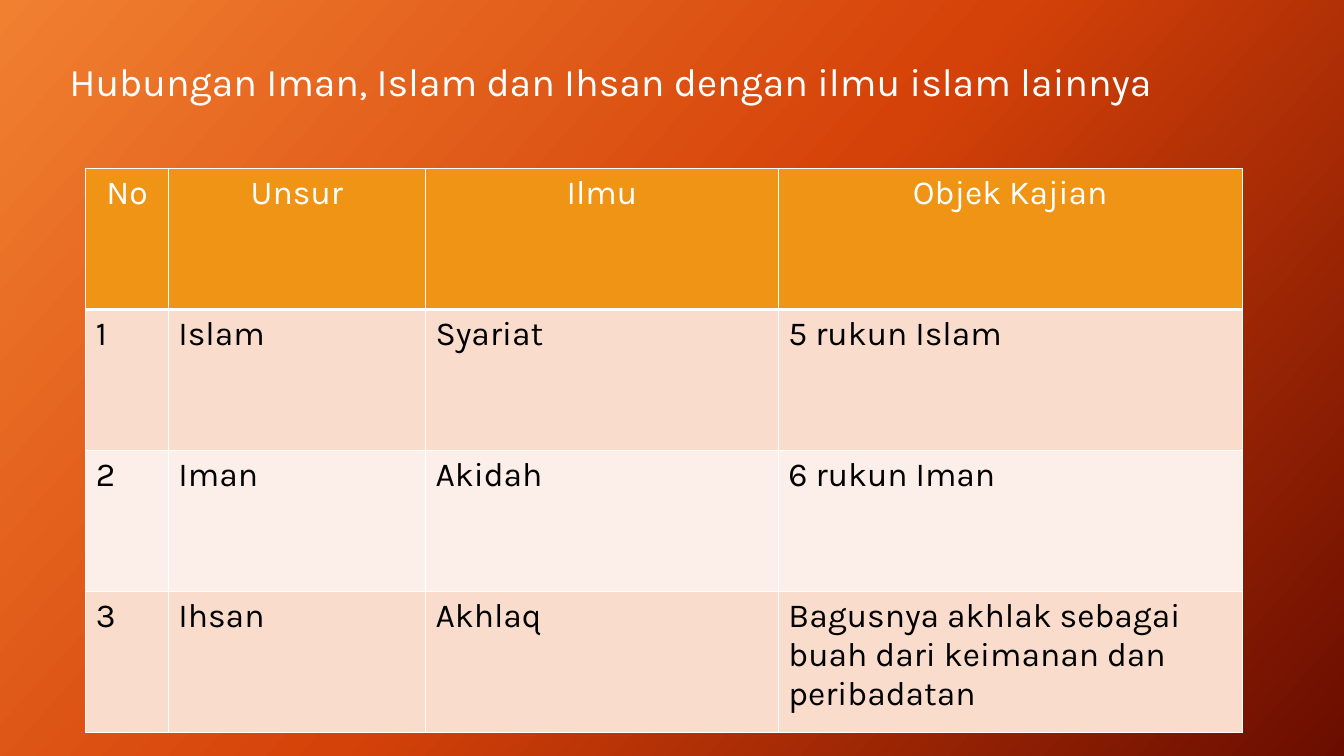
from copy import deepcopy
from dataclasses import dataclass

from lxml.etree import SubElement
from pptx import Presentation
from pptx.dml.color import RGBColor as Rgb
from pptx.enum.text import MSO_ANCHOR as Anchor, PP_ALIGN as Align
from pptx.oxml.ns import qn
from pptx.util import Inches, Pt


@dataclass(frozen=True)
class Theme:
    """Colours, font and type sizes of the slide."""
    font: str = "Karla"
    title_size: int = 28
    table_size: int = 24
    light: str = "FFFFFF"
    dark: str = "000000"
    header: str = "F09415"
    bands: tuple = ("F9DCCC", "FCEEE8")
    backdrop: tuple = ((0, "F18031"), (0.5, "D54209"), (1, "6A0D00"))
    backdrop_angle: int = 42
    rule: int = 1
    header_rule: int = 3


def apply(target, formats):
    """Set every attribute in formats on target."""
    for name, value in formats.items():
        setattr(target, name, value)


class SlideBuilder:
    """Draws themed elements on the current slide."""

    def __init__(self, slide, theme):
        """Keep the slide and its theme."""
        self.slide, self.theme = slide, theme

    def background(self):
        """Fill the slide with the theme gradient."""
        fill = self.slide.background.fill
        fill.gradient()
        fill.gradient_angle = 360 - self.theme.backdrop_angle
        stop_list = next(self.slide.element.iter(qn("a:gsLst")))
        stop_list.insert(1, deepcopy(stop_list[0]))
        for stop, (position, color) in zip(fill.gradient_stops, self.theme.backdrop):
            stop.position = position
            stop.color.rgb = Rgb.from_string(color)

    def add_text(self, frame, text, size, color, **paragraph_formats):
        """Put one styled paragraph into a text frame."""
        paragraph = frame.paragraphs[0]
        apply(paragraph, paragraph_formats)
        run = paragraph.add_run()
        run.text = text
        apply(run.font, {"name": self.theme.font, "size": Pt(size)})
        run.font.color.rgb = Rgb.from_string(color)

    def title(self, text, left, top, width, height):
        """Add the heading, vertically centred in its box."""
        box = self.slide.shapes.add_textbox(*map(Inches, (left, top, width, height)))
        apply(box.text_frame, {"word_wrap": True, "vertical_anchor": Anchor.MIDDLE})
        self.add_text(box.text_frame, text, self.theme.title_size, self.theme.light,
                      line_spacing=0.9)

    def border(self, cell, side, width):
        """Draw one side (L, R, T or B) of a cell, before its fill is set."""
        line = SubElement(cell._tc.get_or_add_tcPr(), qn(f"a:ln{side}"), w=str(Pt(width)))
        solid = SubElement(line, qn("a:solidFill"))
        SubElement(solid, qn("a:srgbClr"), val=self.theme.light)

    def cell(self, cell, text, row):
        """Style and fill one cell according to its row."""
        theme = self.theme
        is_header = row == 0
        thick_side = {0: "B", 1: "T"}.get(row)
        for side in "LRTB":
            self.border(cell, side, theme.header_rule if side == thick_side else theme.rule)
        band = theme.header if is_header else theme.bands[(row - 1) % 2]
        cell.fill.solid()
        cell.fill.fore_color.rgb = Rgb.from_string(band)
        self.add_text(cell.text_frame, text, theme.table_size,
                      theme.light if is_header else theme.dark,
                      alignment=Align.CENTER if is_header else Align.LEFT)

    def table(self, rows, left, top, column_widths, row_height):
        """Add a table with a header row and banded body rows."""
        size = (sum(column_widths), row_height * len(rows))
        table = self.slide.shapes.add_table(
            len(rows), len(column_widths), *map(Inches, (left, top, *size))).table
        for column, width in zip(table.columns, column_widths):
            column.width = Inches(width)
        for r, texts in enumerate(rows):
            table.rows[r].height = Inches(row_height)
            for c, text in enumerate(texts):
                self.cell(table.cell(r, c), text, r)


SCIENCES = [
    ("No", "Unsur", "Ilmu", "Objek Kajian"),
    ("1", "Islam", "Syariat", "5 rukun Islam"),
    ("2", "Iman", "Akidah", "6 rukun Iman"),
    ("3", "Ihsan", "Akhlaq",
     "Bagusnya akhlak sebagai buah dari keimanan dan peribadatan"),
]


def main():
    """Build and save the slide."""
    deck = Presentation()
    apply(deck, {"slide_width": Inches(13.33), "slide_height": Inches(7.5)})
    builder = SlideBuilder(deck.slides.add_slide(deck.slide_layouts[6]), Theme())
    builder.background()
    builder.title("Hubungan Iman, Islam dan Ihsan dengan ilmu islam lainnya",
                  0.59, 0.44, 11.74, 0.79)
    builder.table(SCIENCES, 0.85, 1.67, (0.82, 2.55, 3.5, 4.6), 1.4)
    deck.save("out.pptx")


main()
